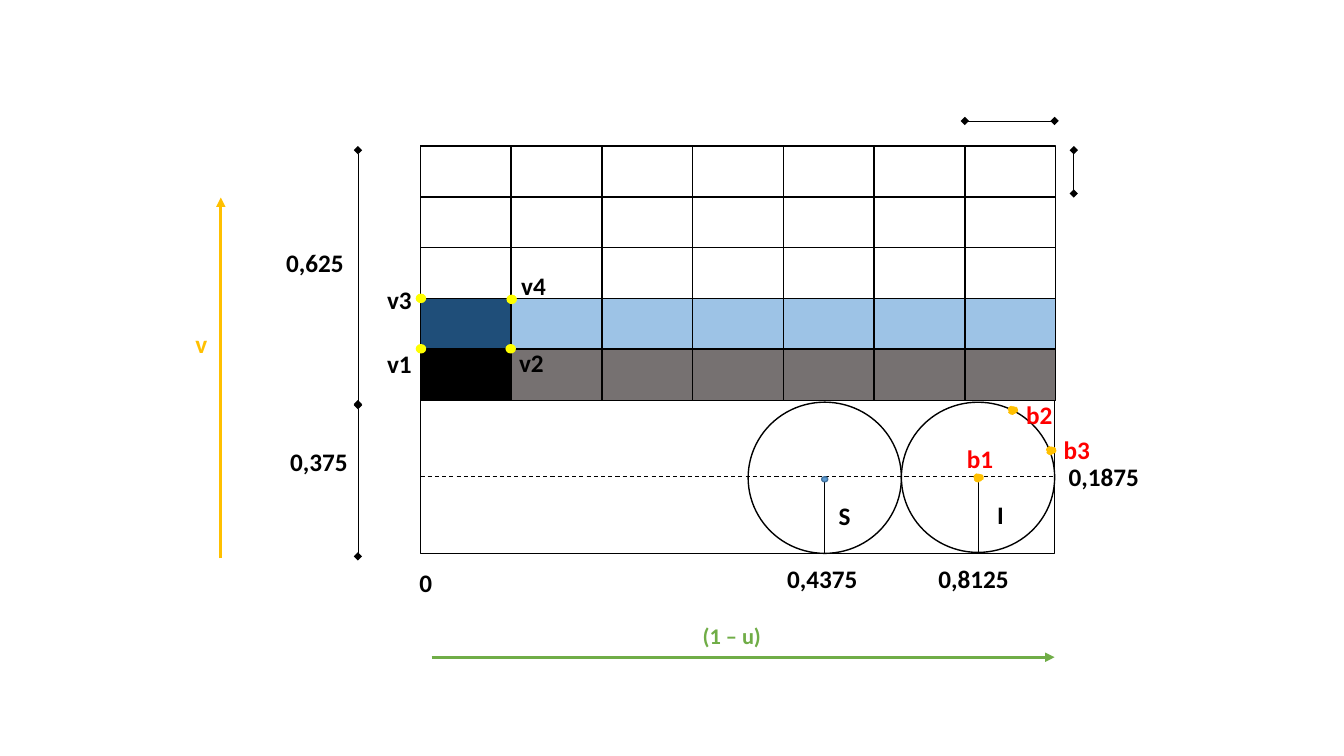
from lxml import etree
from pptx import Presentation
from pptx import util as u
from pptx.dml.color import RGBColor
from pptx.enum import dml, shapes, text
from pptx.oxml import ns

INK = {
    "black": "000000", "white": "FFFFFF", "navy": "1F4E79", "sky": "9DC3E6",
    "gray": "767171", "blue": "5B9BD5", "rim": "43739E", "yellow": "FFFF00",
    "gold": "FFC000", "green": "70AD47", "red": "FF0000",
}
RECT = shapes.MSO_SHAPE.RECTANGLE
OVAL = shapes.MSO_SHAPE.OVAL
NODE = shapes.MSO_SHAPE.FLOWCHART_CONNECTOR
DASH = dml.MSO_LINE.DASH

deck = Presentation()
deck.slide_width, deck.slide_height = u.Inches(13.33), u.Inches(7.5)
slide = deck.slides.add_slide(deck.slide_layouts[6])


def draw(kind, x, y, wide, high, fill, edge="black"):
    form = slide.shapes.add_shape(
        kind, u.Inches(x), u.Inches(y), u.Inches(wide), u.Inches(high))
    form.shadow.inherit = False
    form.fill.solid()
    form.fill.fore_color.rgb = RGBColor.from_string(INK[fill])
    form.line.color.rgb = RGBColor.from_string(INK[edge])
    form.line.width = u.Pt(1)
    return form


def rule(x1, y1, x2, y2, color="black", size=0.5, head=None, tail=None):
    """Draw a straight line with optional end marks."""
    line = slide.shapes.add_connector(
        shapes.MSO_CONNECTOR.STRAIGHT,
        u.Inches(x1), u.Inches(y1), u.Inches(x2), u.Inches(y2))
    line.line.color.rgb = RGBColor.from_string(INK[color])
    line.line.width = u.Pt(size)
    for tag, mark in (("a:headEnd", head), ("a:tailEnd", tail)):
        if mark:
            end = etree.SubElement(line.line._get_or_add_ln(), ns.qn(tag))
            end.set("type", mark)
    etree.SubElement(line._element.spPr, ns.qn("a:effectLst"))
    return line


# Texture frame and its grid of side faces
left, top, right, base = 4.17, 1.45, 10.46, 5.49
draw(RECT, left, top, right - left, base - top, "white")
first = ["white", "white", "white", "navy", "black"]
other = ["white", "white", "white", "sky", "gray"]
for col in range(7):
    for row, fill in enumerate(other if col else first):
        draw(RECT, left + 0.9 * col, top + 0.503 * row, 0.9, 0.51, fill)

# Base circles with axis and radii
for x, high in ((7.42, 1.5), (8.94, 1.49)):
    draw(NODE, x, 3.99, 1.52, high, "white")
rule(left, 4.73, right, 4.73, size=0.75).line.dash_style = DASH
for x, y in ((8.18, 4.75), (9.7, 4.73)):
    rule(x, base, x, y)
for x, y in ((8.15, 4.73), (9.67, 4.72)):
    draw(NODE, x, y, 0.06, 0.05, "blue", "rim")

# Dimension lines
for ends in ((3.55, 1.49, 3.55, 4.01), (3.55, 4.02, 3.55, 5.52),
             (right, 1.2, 9.57, 1.2), (10.65, 1.49, 10.65, 1.92)):
    rule(*ends, head="diamond", tail="diamond")

# Vertex dots
for x, y in ((4.13, 3.42), (4.13, 2.92), (5.03, 2.93), (5.02, 3.42)):
    draw(OVAL, x, y, 0.09, 0.08, "yellow", "yellow")
for x, y in ((10, 4.03), (10.38, 4.43), (9.66, 4.7)):
    draw(OVAL, x, y, 0.09, 0.08, "gold", "gold").line.dash_style = DASH

# Axes
rule(2.19, 5.54, 2.19, 1.96, "gold", 2.25, tail="triangle")
rule(4.28, 6.52, right, 6.52, "green", 2.25, tail="triangle")

# Labels
labels = [
    ("S", 8.22, 4.91, 0.45, "black"), ("I", 9.79, 4.9, 0.45, "black"),
    ("0,625", 2.74, 2.4, 0.81, "black"), ("0,375", 2.78, 4.38, 0.81, "black"),
    ("0", 4.06, 5.58, 0.45, "black"), ("0,4375", 7.71, 5.54, 0.93, "black"),
    ("0,8125", 9.21, 5.54, 0.93, "black"),
    ("0,1875", 10.5, 4.53, 0.93, "black"),
    ("v1", 3.74, 3.41, 0.81, "black"), ("v2", 5.05, 3.4, 0.81, "black"),
    ("v3", 3.74, 2.77, 0.81, "black"), ("v4", 5.07, 2.63, 0.81, "black"),
    ("v", 1.84, 3.21, 0.81, "gold"), ("(1 – u)", 6.87, 6.12, 0.9, "green"),
    ("b2", 10.08, 3.91, 0.81, "red"), ("b3", 10.45, 4.26, 0.81, "red"),
    ("b1", 9.49, 4.35, 0.81, "red"),
]
for words, x, y, wide, color in labels:
    small = color == "green"
    box = slide.shapes.add_textbox(
        u.Inches(x), u.Inches(y), u.Inches(wide),
        u.Inches(0.37 if small else 0.4))
    frame = box.text_frame
    frame.text = words
    frame.word_wrap = True
    frame.auto_size = text.MSO_AUTO_SIZE.SHAPE_TO_FIT_TEXT
    font = frame.paragraphs[0].runs[0].font
    font.name, font.bold = "Calibri", True
    font.size = u.Pt(16 if small else 18)
    font.color.rgb = RGBColor.from_string(INK[color])

deck.save("out.pptx")
